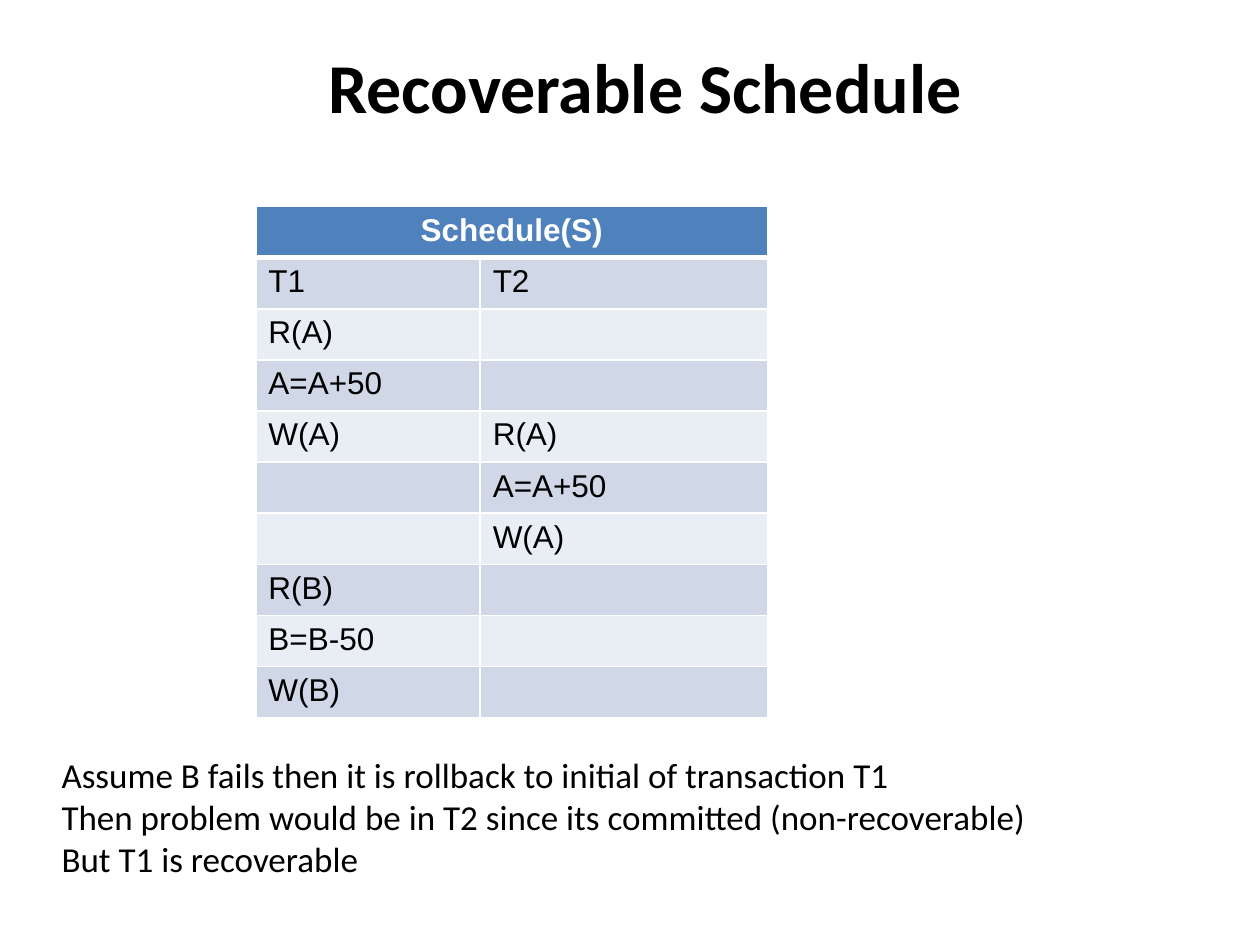
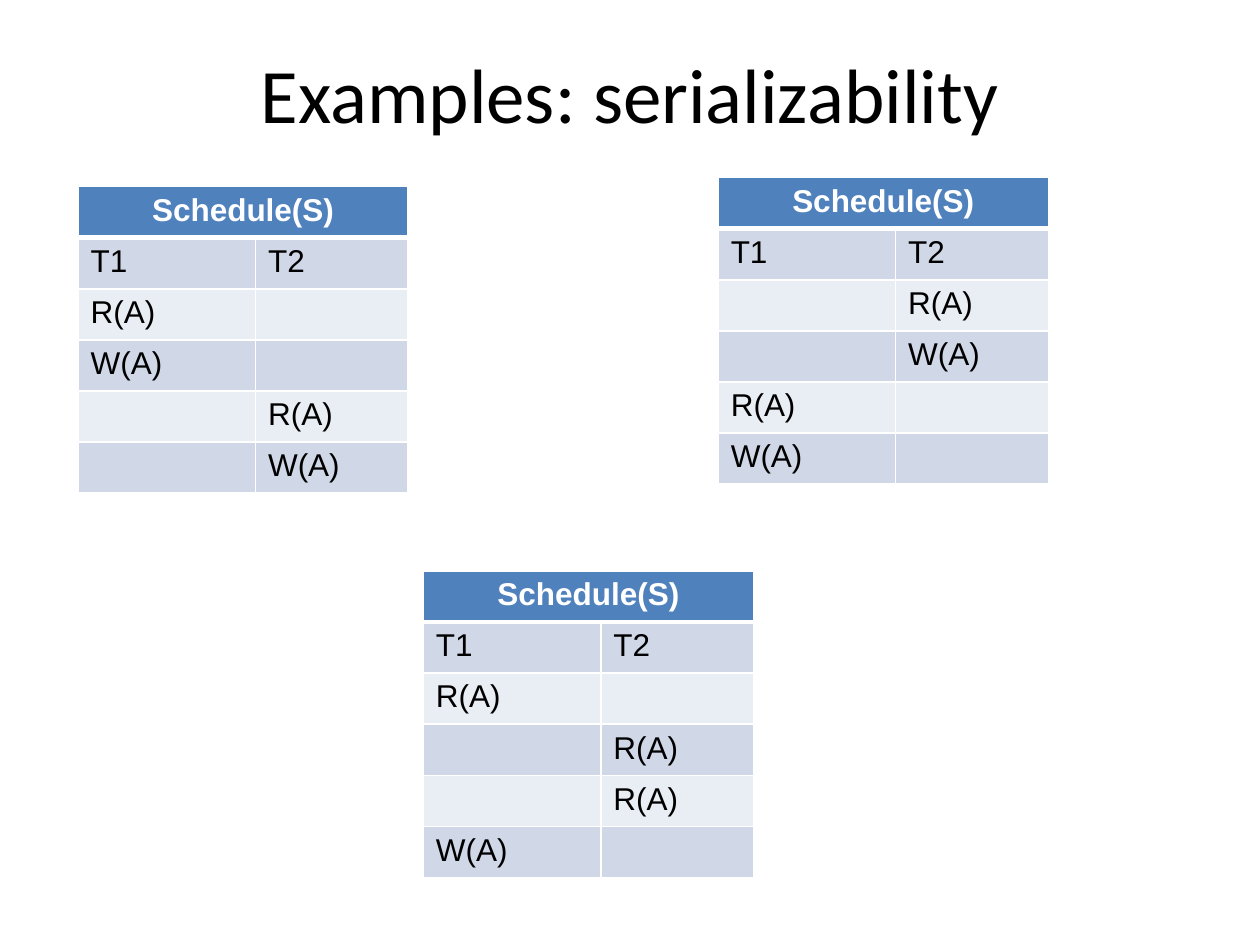
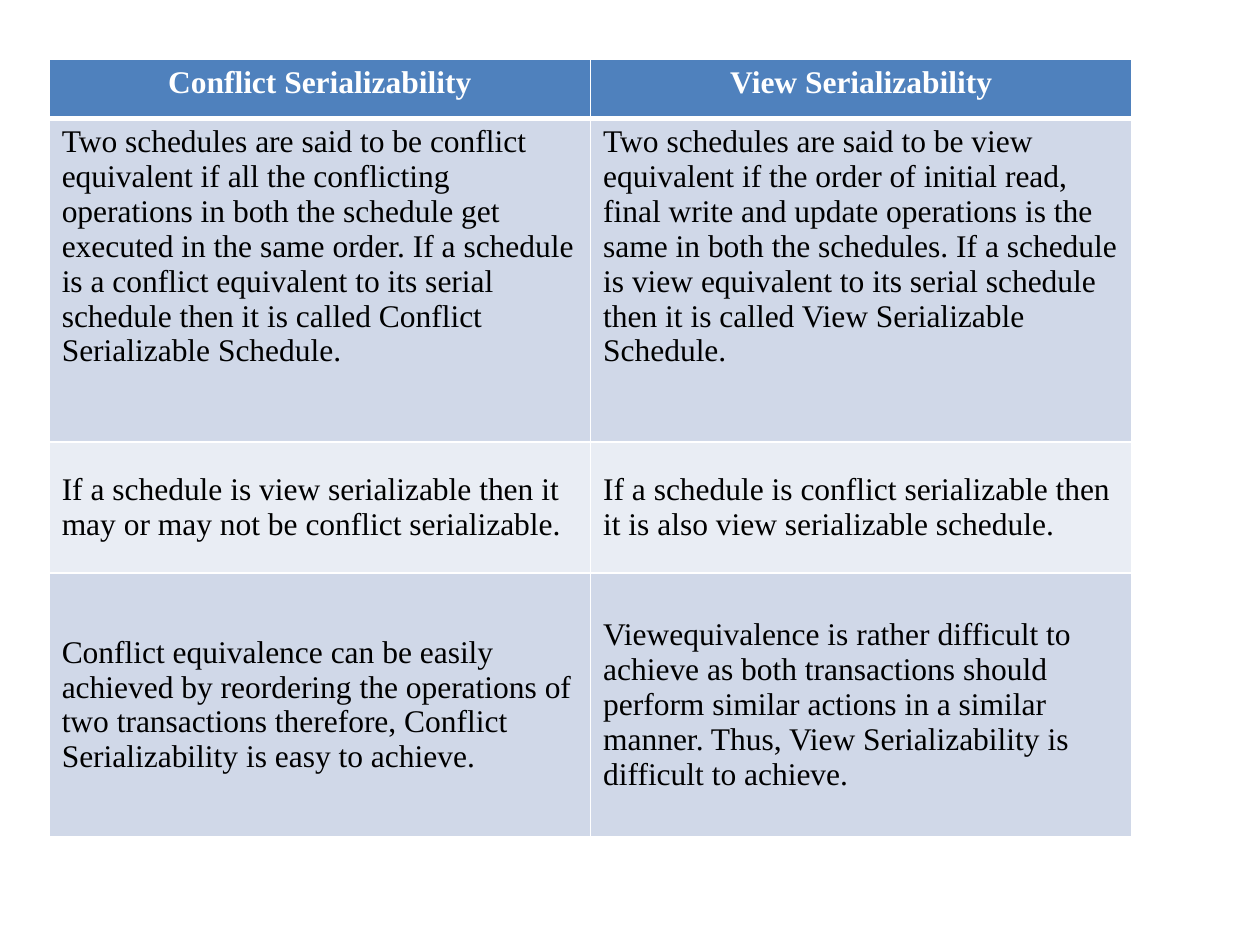
import pptx
import pptx.dml.color
import pptx.enum.text
import pptx.oxml
import pptx.oxml.ns
import pptx.util
from pptx.util import Pt

RGB = pptx.dml.color.RGBColor
ALIGN = pptx.enum.text.PP_ALIGN
ANCHOR = pptx.enum.text.MSO_ANCHOR

WHITE = RGB(0xFF, 0xFF, 0xFF)
BLACK = RGB(0x00, 0x00, 0x00)
HEADER_BLUE = RGB(0x4F, 0x81, 0xBD)
BANDS = (RGB(0xE9, 0xED, 0xF4), RGB(0xD0, 0xD8, 0xE8))

HEADING_FONT = "Calibri"
SCHEDULE_FONT = "Arial"
COMPARISON_FONT = "Times New Roman"
TABLE_SIZE = 18
SCHEDULE_ROW = 29.2
RULE, HEADER_RULE = 1, 3

SERIAL_COLUMNS = (101.4, 87.3)
READ, WRITE = "R(A)", "W(A)"

RECOVERABLE_STEPS = [
    (READ, ""),
    ("A=A+50", ""),
    (WRITE, READ),
    ("", "A=A+50"),
    ("", WRITE),
    ("R(B)", ""),
    ("B=B-50", ""),
    ("W(B)", ""),
]

SERIALIZABILITY_EXAMPLES = [
    (44.6, 106.6, [(READ, ""), (WRITE, ""), ("", READ), ("", WRITE)]),
    (410.4, 101.5, [("", READ), ("", WRITE), (READ, ""), (WRITE, "")]),
    (241.9, 326.2, [(READ, ""), ("", READ), ("", READ), (WRITE, "")]),
]

FAILURE_NOTE = (
    "Assume B fails then it is rollback to initial of transaction T1\n"
    "Then problem would be in T2 since its committed (non-recoverable)\n"
    "But T1 is recoverable"
)

COMPARISON = [
    ("Conflict Serializability", "View Serializability"),
    (
        "Two schedules are said to be conflict equivalent if all the conflicting "
        "operations in both the schedule get executed in the same order. If a "
        "schedule is a conflict equivalent to its serial schedule then it is "
        "called Conflict Serializable Schedule.",
        "Two schedules are said to be view equivalent if the order of initial "
        "read, final write and update operations is the same in both the "
        "schedules. If a schedule is view equivalent to its serial schedule then "
        "it is called View Serializable Schedule.",
    ),
    (
        "If a schedule is view serializable then it may or may not be conflict "
        "serializable.",
        "If a schedule is conflict serializable then it is also view "
        "serializable schedule.",
    ),
    (
        "Conflict equivalence can be easily achieved by reordering the operations "
        "of two transactions therefore, Conflict Serializability is easy to "
        "achieve.",
        "Viewequivalence is rather difficult to achieve as both transactions "
        "should perform similar actions in a similar manner. Thus, View "
        "Serializability is difficult to achieve.",
    ),
]


def write(paragraph, text, font_name, size, color, bold=False, align=ALIGN.LEFT):
    paragraph.text = text
    paragraph.alignment = align
    for run in paragraph.runs:
        run.font.name = font_name
        run.font.size = Pt(size)
        run.font.bold = bold
        run.font.color.rgb = color


def add_text(slide, box, text, size, bold=False, align=ALIGN.LEFT, space_below=0):
    """Add middle-anchored text, raised by keeping space_below free."""
    frame = slide.shapes.add_textbox(*map(Pt, box)).text_frame
    frame.word_wrap = True
    frame.vertical_anchor = ANCHOR.MIDDLE
    frame.margin_bottom = Pt(3.6 + space_below)
    write(frame.paragraphs[0], text, HEADING_FONT, size, BLACK, bold, align)


def set_borders(cell, top, bottom):
    """Rule the cell in white; top and bottom are line widths."""
    properties = cell._tc.get_or_add_tcPr()
    for side, width in (("L", RULE), ("R", RULE), ("T", top), ("B", bottom)):
        properties.append(pptx.oxml.parse_xml(
            f'<a:ln{side} {pptx.oxml.ns.nsdecls("a")} w="{Pt(width)}">'
            f'<a:solidFill><a:srgbClr val="{WHITE}"/></a:solidFill></a:ln{side}>'
        ))


def add_banded_table(slide, left, top, columns, heights, rows, font_name):
    frame = slide.shapes.add_table(
        len(rows), len(columns), Pt(left), Pt(top), Pt(sum(columns)), Pt(sum(heights))
    )
    table = frame.table
    for column, width in zip(table.columns, columns):
        column.width = Pt(width)
    for index, (texts, height) in enumerate(zip(rows, heights)):
        table.rows[index].height = Pt(height)
        header = index == 0
        for cell, text in zip(table.rows[index].cells, texts):
            set_borders(
                cell,
                top=HEADER_RULE if index == 1 else RULE,
                bottom=HEADER_RULE if header else RULE,
            )
            cell.fill.solid()
            cell.fill.fore_color.rgb = HEADER_BLUE if header else BANDS[index % 2]
            write(
                cell.text_frame.paragraphs[0], text, font_name, TABLE_SIZE,
                WHITE if header else BLACK, header,
                ALIGN.CENTER if header else ALIGN.LEFT,
            )
    return table


def add_schedule(slide, left, top, columns, steps):
    rows = [("Schedule(S)", ""), ("T1", "T2"), *steps]
    heights = [SCHEDULE_ROW] * len(rows)
    table = add_banded_table(slide, left, top, columns, heights, rows, SCHEDULE_FONT)
    table.cell(0, 0).merge(table.cell(0, 1))


def add_comparison(slide):
    table = add_banded_table(
        slide, 28.1, 33.8, (309.4, 309.4), (33.8, 185, 74.9, 150.5),
        COMPARISON, COMPARISON_FONT,
    )
    for row in list(table.rows)[2:]:
        for cell in row.cells:
            cell.vertical_anchor = ANCHOR.MIDDLE
            cell.margin_top = cell.margin_bottom = Pt(10.8)


def main():
    deck = pptx.Presentation()
    deck.slide_width, deck.slide_height = Pt(720), Pt(540)
    blank = deck.slide_layouts[6]

    recoverable = deck.slides.add_slide(blank)
    add_text(recoverable, (28.1, 433.4, 648, 90), FAILURE_NOTE, 20, space_below=24)
    add_schedule(recoverable, 146.2, 118.1, (128.2, 164.2), RECOVERABLE_STEPS)
    add_text(recoverable, (44.6, 28.1, 648, 90), "Recoverable Schedule", 40,
             bold=True, align=ALIGN.CENTER, space_below=48)

    examples = deck.slides.add_slide(blank)
    add_text(examples, (36, 21.6, 648, 62.6), "Examples: serializability", 44,
             align=ALIGN.CENTER)
    for left, top, steps in SERIALIZABILITY_EXAMPLES:
        add_schedule(examples, left, top, SERIAL_COLUMNS, steps)

    add_comparison(deck.slides.add_slide(blank))

    deck.save("out.pptx")


if __name__ == "__main__":
    main()
